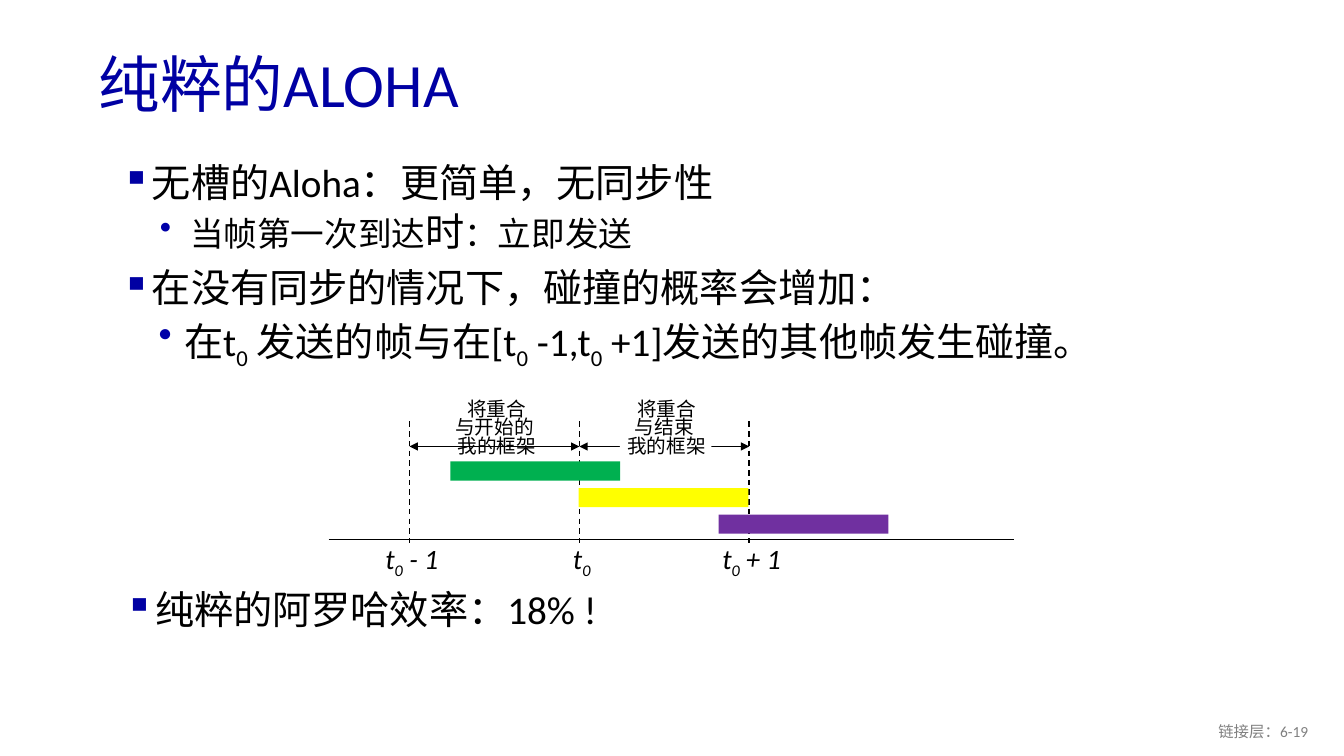
from dataclasses import dataclass

from lxml import etree
from pptx import Presentation
from pptx.dml.color import RGBColor
from pptx.enum.dml import MSO_LINE
from pptx.enum.shapes import MSO_CONNECTOR, MSO_SHAPE
from pptx.enum.text import MSO_ANCHOR, PP_ALIGN
from pptx.oxml.ns import qn
from pptx.util import Cm, Pt

LEFT, CENTER, RIGHT = PP_ALIGN.LEFT, PP_ALIGN.CENTER, PP_ALIGN.RIGHT
TOP, MIDDLE = MSO_ANCHOR.TOP, MSO_ANCHOR.MIDDLE
STRAIGHT, RECTANGLE, DASH = MSO_CONNECTOR.STRAIGHT, MSO_SHAPE.RECTANGLE, MSO_LINE.DASH

FONT = "Calibri"
BLACK, NAVY, BLUE, GRAY = "000000", "0000A3", "0000A8", "808080"

T0 = 14.6
FRAME_TIME = 4.28
LABEL_SHIFT = 0.06
AXIS_Y = 13.59
ARROW_Y = 11.25


@dataclass(frozen=True)
class Piece:
    text: str
    size: float | None = None
    subscript: bool = False


@dataclass(frozen=True)
class Bullet:
    mark: str
    color: str
    level: int
    margin: float
    hanging: float


@dataclass(frozen=True)
class Line:
    pieces: tuple[Piece, ...]
    bullet: Bullet | None = None
    space_before: float = 0


@dataclass(frozen=True)
class Frame:
    left: float
    color: str


ZERO = Piece("0", subscript=True)
SQUARE = Bullet("▪", NAVY, 0, 1.12, 0.76)
DOT = Bullet("•", BLUE, 1, 2.08, 0.76)
TIGHT_DOT = Bullet("•", BLUE, 1, 1.93, 0.64)

BODY = (
    Line((Piece("无槽的Aloha：更简单，无同步性"),), SQUARE),
    Line((Piece("当帧第一次到达", 24), Piece("时"), Piece("：立即发送", 24)), DOT, 5),
    Line((Piece("在没有同步的情况下，碰撞的概率会增加："),), SQUARE, 10),
    Line(
        (Piece("在t"), ZERO, Piece(" 发送的帧与在[t"), ZERO, Piece(" -1,t"), ZERO,
         Piece(" +1]发送的其他帧发生碰撞。")),
        TIGHT_DOT, 5,
    ),
)
EFFICIENCY = (Line((Piece("纯粹的阿罗哈效率：18% !"),), SQUARE),)

FRAMES = (Frame(11.35, "00B050"), Frame(14.58, "FFFF00"), Frame(18.11, "7030A0"))
TICK_OFFSETS = {-1: " - 1", 0: "", 1: " + 1"}
OVERLAPS = {-0.5: "与开始的 ", 0.5: "与结束 "}


def rgb(color: str) -> RGBColor:
    return RGBColor.from_string(color)


def plain(*texts: str) -> tuple[Line, ...]:
    return tuple(Line((Piece(text),)) for text in texts)


def add_bullet(paragraph, bullet: Bullet) -> None:
    paragraph.level = bullet.level
    properties = paragraph._p.get_or_add_pPr()
    properties.set("marL", str(Cm(bullet.margin)))
    properties.set("indent", str(-Cm(bullet.hanging)))
    color = etree.SubElement(properties, qn("a:buClr"))
    etree.SubElement(color, qn("a:srgbClr")).set("val", bullet.color)
    etree.SubElement(properties, qn("a:buChar")).set("char", bullet.mark)


def add_text(slide, lines: tuple[Line, ...], left: float, top: float, width: float,
             height: float, *, size: float, color: str = BLACK, italic: bool = False,
             align=LEFT, anchor=TOP, spacing: float = 1.0, wrap: bool = True) -> None:
    box = slide.shapes.add_textbox(Cm(left), Cm(top), Cm(width), Cm(height))
    frame = box.text_frame
    frame.word_wrap = wrap
    frame.vertical_anchor = anchor
    for index, line in enumerate(lines):
        paragraph = frame.add_paragraph() if index else frame.paragraphs[0]
        if line.bullet:
            add_bullet(paragraph, line.bullet)
        paragraph.alignment = align
        paragraph.line_spacing = spacing
        paragraph.space_before = Pt(line.space_before)
        for piece in line.pieces:
            run = paragraph.add_run()
            run.text = piece.text
            run.font.name = FONT
            run.font.size = Pt(piece.size or size)
            run.font.italic = italic
            run.font.color.rgb = rgb(color)
            if piece.subscript:
                run.font._element.set("baseline", "-25000")


def add_line(slide, x1: float, y1: float, x2: float, y2: float, *,
             dashed: bool = False, arrows: bool = False) -> None:
    connector = slide.shapes.add_connector(STRAIGHT, Cm(x1), Cm(y1), Cm(x2), Cm(y2))
    connector.line.width = Pt(1)
    connector.line.color.rgb = rgb(BLACK)
    if dashed:
        connector.line.dash_style = DASH
    if arrows:
        outline = connector.line._get_or_add_ln()
        for end in ("a:headEnd", "a:tailEnd"):
            etree.SubElement(outline, qn(end)).set("type", "triangle")
    etree.SubElement(connector._element.spPr, qn("a:effectLst"))


def add_bar(slide, left: float, top: float, width: float, height: float, color: str) -> None:
    shape = slide.shapes.add_shape(RECTANGLE, Cm(left), Cm(top), Cm(width), Cm(height))
    shape.shadow.inherit = False
    shape.fill.solid()
    shape.fill.fore_color.rgb = rgb(color)
    shape.line.fill.background()


def add_timeline(slide) -> None:
    for offset in (-1, 0):
        start = T0 + offset * FRAME_TIME
        add_line(slide, start, ARROW_Y, start + FRAME_TIME, ARROW_Y, arrows=True)
    add_bar(slide, 15.62, 11.15, 2.31, 0.15, "FFFFFF")
    add_line(slide, 8.28, AXIS_Y, 25.55, AXIS_Y)

    for offset, suffix in TICK_OFFSETS.items():
        tick = T0 + offset * FRAME_TIME
        add_line(slide, tick, 10.62, tick, 13.68, dashed=True)
        pieces = (Piece("t"), ZERO) + ((Piece(suffix),) if suffix else ())
        add_text(slide, (Line(pieces),), tick + LABEL_SHIFT - 1, 13.52, 2, 1.12,
                 size=20, italic=True, align=CENTER, wrap=False)

    for row, frame in enumerate(FRAMES):
        add_bar(slide, frame.left, 11.63 + row * 0.67, FRAME_TIME, 0.48, frame.color)

    for offset, middle in OVERLAPS.items():
        center = T0 + offset * FRAME_TIME + LABEL_SHIFT
        add_text(slide, plain("将重合", middle, "我的框架"), center - 1.5, 9.98, 3, 1.7,
                 size=14, align=CENTER, spacing=0.8, wrap=False)


def main() -> None:
    presentation = Presentation()
    presentation.slide_width = Cm(33.87)
    presentation.slide_height = Cm(19.05)
    slide = presentation.slides.add_slide(presentation.slide_layouts[6])

    add_text(slide, plain("纯粹的ALOHA"), 2.24, 0.97, 29.2, 2.49,
             size=44, color=NAVY, anchor=MIDDLE, spacing=0.9)
    add_text(slide, plain("链接层：6-19"), 25.6, 17.91, 7.62, 1.02,
             size=11, color=GRAY, align=RIGHT, anchor=MIDDLE)
    add_text(slide, BODY, 2.46, 3.99, 29.2, 6.43, size=28, spacing=0.9)
    add_timeline(slide)
    add_text(slide, EFFICIENCY, 2.54, 14.76, 29.2, 1.73, size=28, spacing=0.9)

    presentation.save("out.pptx")


if __name__ == "__main__":
    main()
